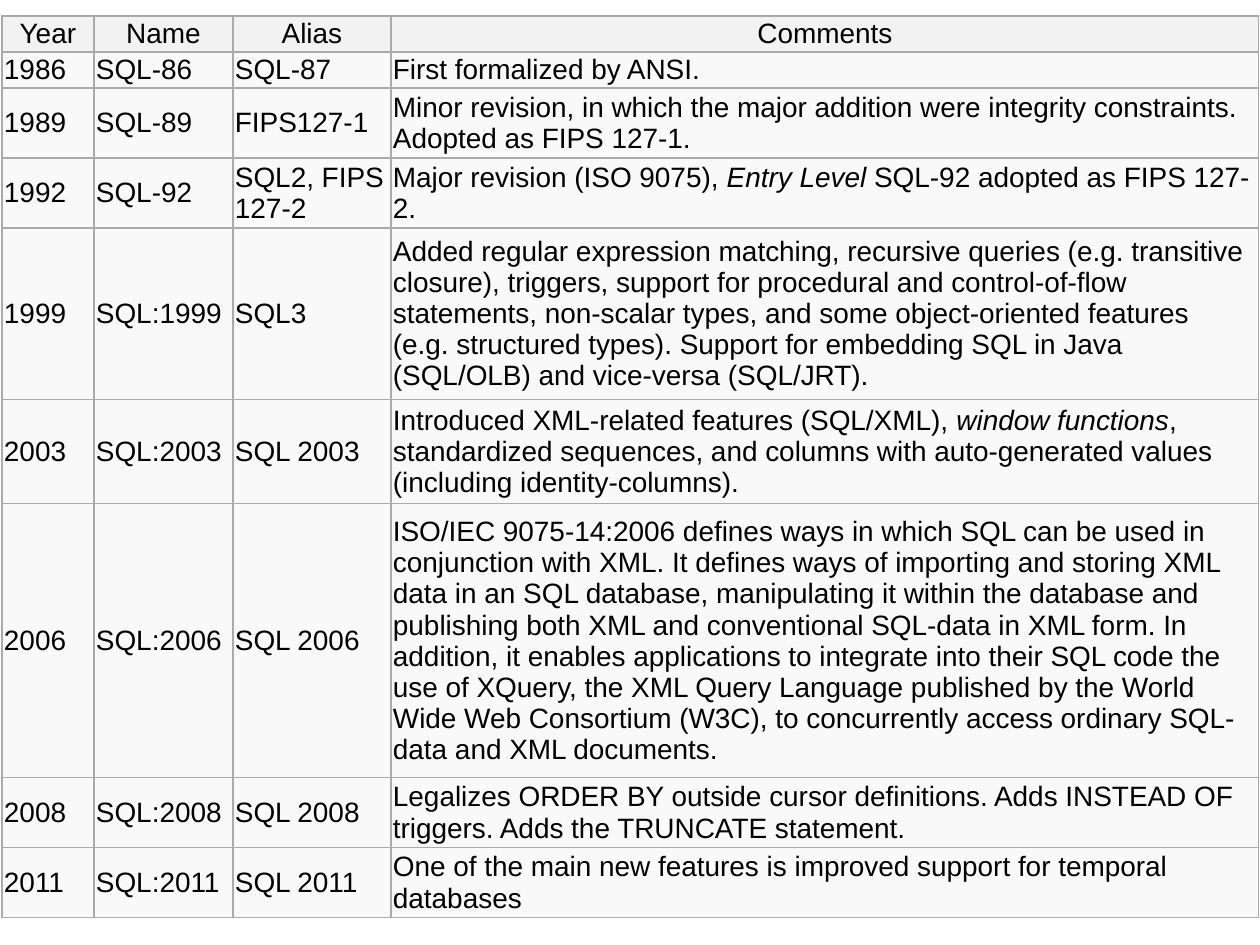
"""Build a slide with a table of the SQL standard revisions."""
from dataclasses import dataclass

from lxml.etree import SubElement
from pptx import Presentation
from pptx.dml.color import RGBColor
from pptx.enum.text import MSO_ANCHOR, PP_ALIGN
from pptx.oxml.ns import qn
from pptx.table import _Cell
from pptx.util import Emu, Pt

SCALE = 914400 // 126
COLORS = {"text": "000000", "header": "F2F2F2", "body": "F9F9F9", "border": "AAAAAA"}
FONT_NAME = "Arial"
FONT_SIZE = Pt(16)
BORDER_WIDTH = Pt(0.75)
TABLE_LEFT, TABLE_TOP = 2, 16
COLUMN_WIDTHS = (92, 139, 158, 868)
HEADINGS = ("Year", "Name", "Alias", "Comments")


@dataclass(frozen=True)
class TextRun:
    text: str
    italic: bool = False


@dataclass(frozen=True)
class Revision:
    height: int
    year: str
    name: str
    alias: str
    comments: tuple[TextRun, ...]


REVISIONS = (
    Revision(36, "1986", "SQL-86", "SQL-87", (TextRun("First formalized by ANSI."),)),
    Revision(70, "1989", "SQL-89", "FIPS127-1", (
        TextRun("Minor revision, in which the major addition were integrity constraints. "
                "Adopted as FIPS 127-1."),
    )),
    Revision(70, "1992", "SQL-92", "SQL2, FIPS 127-2", (
        TextRun("Major revision (ISO 9075),\u00a0"),
        TextRun("Entry Level", italic=True),
        TextRun("\u00a0SQL-92 adopted as FIPS 127-2."),
    )),
    Revision(172, "1999", "SQL:1999", "SQL3", (
        TextRun("Added regular expression matching,\u00a0recursive queries\u00a0"
                "(e.g.\u00a0transitive closure),\u00a0triggers, support for procedural and "
                "control-of-flow statements, non-scalar types, and some object-oriented "
                "features (e.g.\u00a0structured types). Support for embedding SQL in Java "
                "(SQL/OLB) and vice-versa (SQL/JRT)."),
    )),
    Revision(104, "2003", "SQL:2003", "SQL 2003", (
        TextRun("Introduced\u00a0XML-related features (SQL/XML),\u00a0"),
        TextRun("window functions", italic=True),
        TextRun(", standardized sequences, and columns with auto-generated values "
                "(including identity-columns)."),
    )),
    Revision(274, "2006", "SQL:2006", "SQL 2006", (
        TextRun("ISO/IEC 9075-14:2006 defines ways in which SQL can be used in conjunction "
                "with XML. It defines ways of importing and storing XML data in an SQL "
                "database, manipulating it within the database and publishing both XML and "
                "conventional SQL-data in XML form. In addition, it enables applications to "
                "integrate into their SQL code the use of\u00a0XQuery, the XML Query Language "
                "published by the World Wide Web Consortium (W3C), to concurrently access "
                "ordinary SQL-data and XML documents."),
    )),
    Revision(70, "2008", "SQL:2008", "SQL 2008", (
        TextRun("Legalizes ORDER BY outside cursor definitions. Adds INSTEAD OF triggers. "
                "Adds the TRUNCATE statement."),
    )),
    Revision(70, "2011", "SQL:2011", "SQL 2011", (
        TextRun("One of the main new features is improved support for\u00a0temporal databases"),
    )),
)
ROW_HEIGHTS = (36, *(revision.height for revision in REVISIONS))


def pixels(count: int) -> Emu:
    return Emu(count * SCALE)


def add_borders(cell: _Cell) -> None:
    properties = cell._tc.get_or_add_tcPr()
    for position, side in enumerate(("a:lnL", "a:lnR", "a:lnT", "a:lnB")):
        line = SubElement(properties, qn(side), w=str(BORDER_WIDTH))
        fill = SubElement(line, qn("a:solidFill"))
        SubElement(fill, qn("a:srgbClr"), val=COLORS["border"])
        properties.insert(position, line)


def fill_cell(cell: _Cell, runs: tuple[TextRun, ...], fill: str, alignment: PP_ALIGN) -> None:
    cell.vertical_anchor = MSO_ANCHOR.MIDDLE
    cell.margin_left = cell.margin_right = pixels(2)
    cell.margin_top = cell.margin_bottom = pixels(1)
    cell.fill.solid()
    cell.fill.fore_color.rgb = RGBColor.from_string(COLORS[fill])
    add_borders(cell)
    paragraph = cell.text_frame.paragraphs[0]
    paragraph.alignment = alignment
    for text_run in runs:
        run = paragraph.add_run()
        run.text = text_run.text
        run.font.name = FONT_NAME
        run.font.size = FONT_SIZE
        run.font.bold = False
        run.font.italic = text_run.italic
        run.font.color.rgb = RGBColor.from_string(COLORS["text"])


def main() -> None:
    presentation = Presentation()
    presentation.slide_width, presentation.slide_height = pixels(1260), pixels(945)
    slide = presentation.slides.add_slide(presentation.slide_layouts[6])
    table = slide.shapes.add_table(
        len(ROW_HEIGHTS), len(COLUMN_WIDTHS), pixels(TABLE_LEFT), pixels(TABLE_TOP),
        pixels(sum(COLUMN_WIDTHS)), pixels(sum(ROW_HEIGHTS)),
    ).table
    table.horz_banding = False
    for column, width in zip(table.columns, COLUMN_WIDTHS):
        column.width = pixels(width)
    for row, height in zip(table.rows, ROW_HEIGHTS):
        row.height = pixels(height)
    for cell, heading in zip(table.rows[0].cells, HEADINGS):
        fill_cell(cell, (TextRun(heading),), "header", PP_ALIGN.CENTER)
    for row_index, revision in enumerate(REVISIONS, start=1):
        labels = (revision.year, revision.name, revision.alias)
        contents = (*((TextRun(label),) for label in labels), revision.comments)
        for cell, runs in zip(table.rows[row_index].cells, contents):
            fill_cell(cell, runs, "body", PP_ALIGN.LEFT)
    presentation.save("out.pptx")


main()
